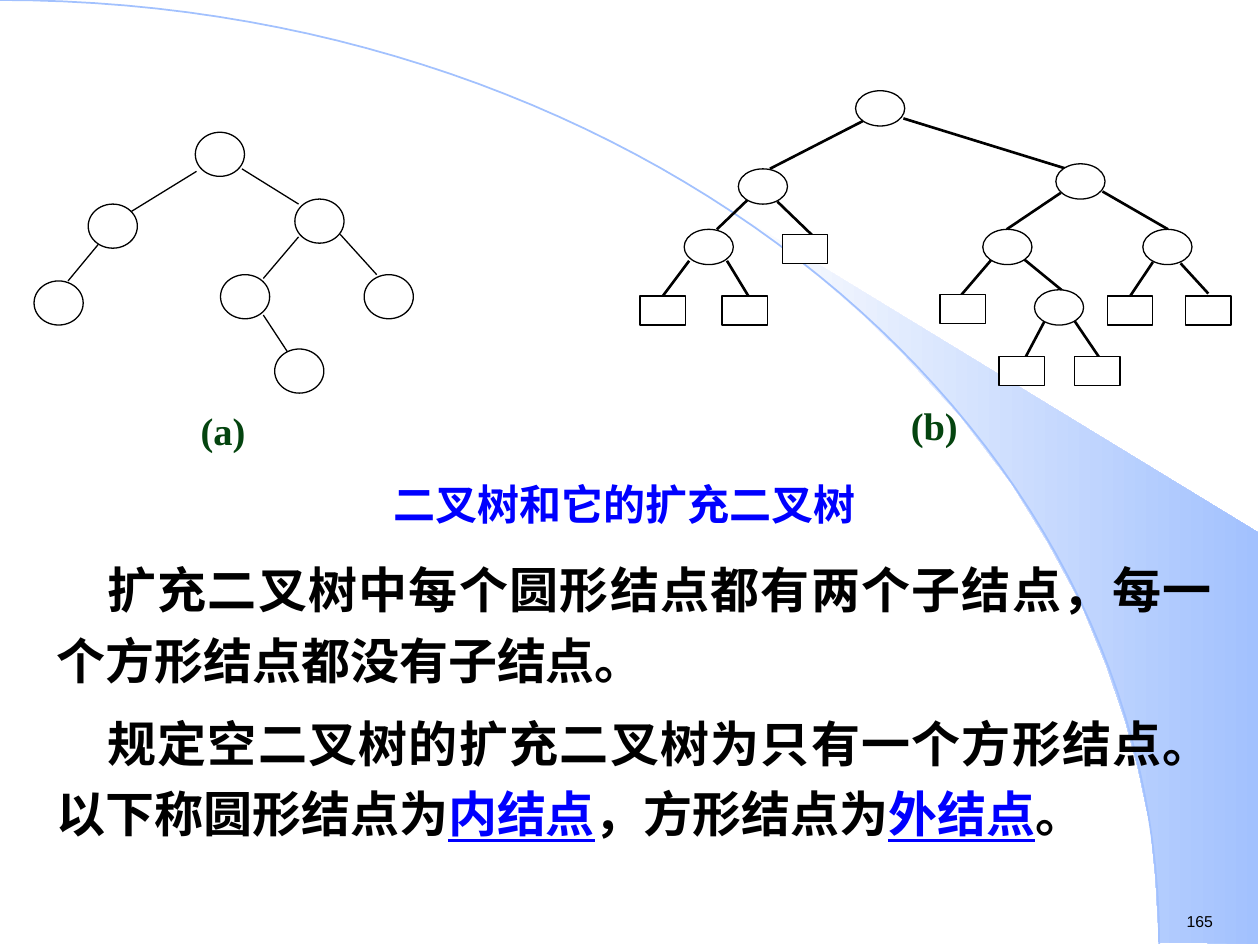
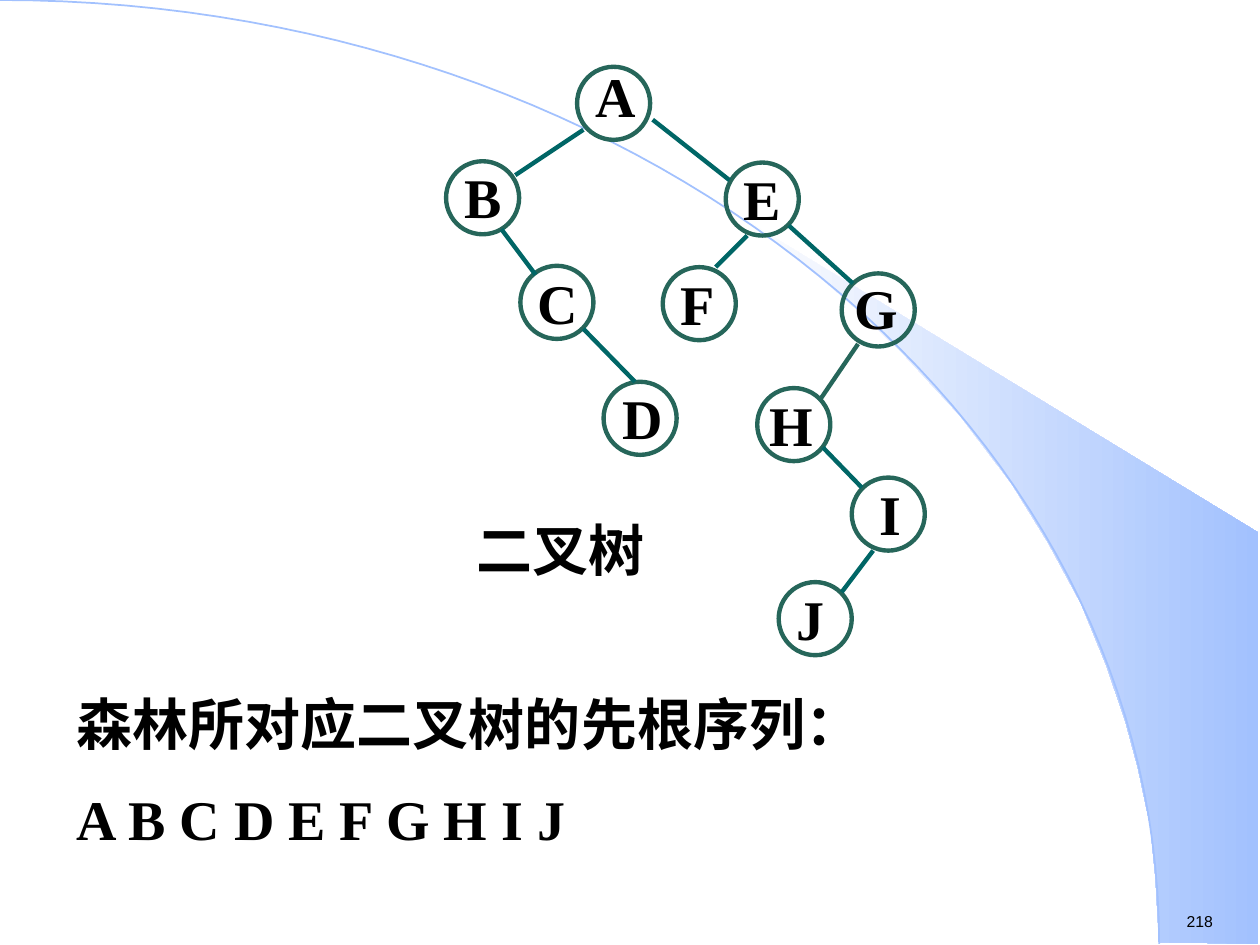
import pptx
import pptx.util
import pptx.dml.color
import pptx.enum.shapes
import pptx.enum.text
import pptx.oxml.ns
import lxml.etree

Inches, Pt = pptx.util.Inches, pptx.util.Pt
SHAPE = pptx.enum.shapes.MSO_SHAPE
ALIGN = pptx.enum.text.PP_ALIGN
ANCHOR = pptx.enum.text.MSO_ANCHOR
qn = pptx.oxml.ns.qn

BLACK, WHITE, BLUE, SKY, PALE = "000000", "FFFFFF", "0000FF", "A2C1FE", "FEFEFE"
LABEL_GREEN, NODE_GREEN, EDGE_GREEN = "04440F", "26665A", "006666"
SERIF = "Times New Roman"
INSET = (0.1, 0.05)

# Backdrop: the swoosh outline and the arc's Bezier control points
SWOOSH = [(9.2, 7.48), (9.99, 7.49), (9.99, 4.23), (5.89, 1.73), (6.24, 1.99),
          (6.53, 2.22), (6.85, 2.5), (7.16, 2.8), (7.62, 3.3), (8.03, 3.84),
          (8.32, 4.31), (8.58, 4.79), (8.78, 5.28), (8.93, 5.72), (9.03, 6.09),
          (9.13, 6.56), (9.17, 6.96)]
ARC = [(0, 0), (5.08, 0), (9.2, 3.35), (9.2, 7.49)]
ARC_STEPS = 60

# Trees on the first slide: node corners and edges, relative to the tree's box
PLAIN_TREE = dict(
    ovals=[(1.28, 0), (0.43, 0.57), (0, 1.18), (2.07, 0.53), (1.48, 1.13),
           (2.62, 1.13), (1.91, 1.72)],
    oval_size=(0.39, 0.35), squares=[], edge_width=0.75,
    edges=[(1.29, 0.31, 0.77, 0.63), (0.51, 0.89, 0.27, 1.18),
           (1.65, 0.29, 2.1, 0.57), (2.1, 0.83, 1.82, 1.16),
           (2.43, 0.81, 2.72, 1.13), (1.82, 1.45, 2.01, 1.74)],
    label="(a)", label_box=(1.11, 2.21, 0.78, 0.33), label_spacing=24)
EXTENDED_TREE = dict(
    ovals=[(1.71, 0), (0.78, 0.62), (0.35, 1.1), (3.3, 0.58), (2.72, 1.1),
           (3.99, 1.1), (3.13, 1.58)],
    oval_size=(0.39, 0.28), edge_width=1.5,
    squares=[(0, 1.63), (0.65, 1.63), (2.85, 2.11), (3.45, 2.11), (2.38, 1.62),
             (4.33, 1.63), (3.71, 1.63), (1.13, 1.14)],
    edges=[(2.09, 0.22, 3.45, 0.64), (3.21, 1.83, 3.03, 2.17),
           (3.05, 1.34, 3.38, 1.61), (1.09, 0.88, 1.38, 1.16),
           (1.77, 0.24, 1.03, 0.62), (0.85, 0.87, 0.61, 1.1),
           (3.34, 0.81, 2.91, 1.1), (3.67, 0.8, 4.19, 1.1),
           (0.39, 1.35, 0.18, 1.63), (0.69, 1.35, 0.86, 1.63),
           (2.79, 1.34, 2.55, 1.62), (3.45, 1.83, 3.64, 2.11),
           (4.07, 1.36, 3.89, 1.63), (4.29, 1.37, 4.51, 1.61)],
    label="(b)", label_box=(2.05, 2.53, 0.57, 0.31), label_spacing=22)
SQUARE_SIZE = (0.36, 0.23)

# Lettered tree: node corner, letter offset, letter line spacing
LETTERS = {
    "A": (1.04, 0, 0.05, -0.09, 1.0), "B": (0, 0.75, 0.05, -0.09, 1.1),
    "C": (0.59, 1.58, 0.04, -0.08, 1.1), "D": (1.25, 2.5, 0.05, -0.09, 1.1),
    "E": (2.22, 0.76, 0.04, -0.09, 1.1), "F": (1.72, 1.59, 0.04, -0.08, 1.1),
    "G": (3.14, 1.64, 0, -0.05, 1.0), "H": (2.47, 2.55, 0, -0.08, 1.1),
    "I": (3.22, 3.26, 0.12, -0.09, 1.1), "J": (2.64, 4.09, 0.04, -0.08, 1.1)}
LETTER_EDGES = {
    "AB": (1.09, 0.5, 0.55, 0.86), "AE": (1.64, 0.42, 2.25, 0.9),
    "BC": (0.44, 1.29, 0.71, 1.65), "CD": (1.09, 2.08, 1.5, 2.5),
    "EF": (2.39, 1.34, 2.14, 1.59), "EG": (2.72, 1.26, 3.23, 1.72),
    "GH": (3.27, 2.2, 2.97, 2.64), "HI": (2.99, 3.02, 3.3, 3.34),
    "IJ": (3.39, 3.84, 3.14, 4.17)}
LETTER_SIZE = 0.58


# Shared helpers
def rgb(value):
    return pptx.dml.color.RGBColor.from_string(value)


def apply(target, formats):
    for name, value in formats.items():
        setattr(target, name, value)


def set_line(shape, color, width):
    shape.line.color.rgb = rgb(color)
    shape.line.width = Pt(width)


def write_runs(p, runs, size, color=BLACK, **font):
    """Runs are (text, changes to the font) pairs."""
    for text, changes in runs:
        r = p.add_run()
        r.text = text
        formats = dict(dict(name=SERIF, bold=True, color=color), **font, **changes)
        r.font.color.rgb = rgb(formats.pop("color"))
        apply(r.font, dict(formats, size=Pt(size)))


def set_frame(tf, inset, anchor=ANCHOR.TOP):
    x, y = (Inches(v) for v in inset)
    apply(tf, dict(word_wrap=True, auto_size=pptx.enum.text.MSO_AUTO_SIZE.NONE,
                   margin_left=x, margin_right=x, margin_top=y, margin_bottom=y,
                   vertical_anchor=anchor))


def add_text(s, box, text, size, color=BLACK, inset=INSET, anchor=ANCHOR.TOP,
             para=None, **font):
    tf = s.shapes.add_textbox(*map(Inches, box)).text_frame
    set_frame(tf, inset, anchor)
    p = tf.paragraphs[0]
    apply(p, para or {})
    write_runs(p, [(text, {})], size, color, **font)


def add_node(s, kind, x, y, size, color, width, fill=None):
    sp = s.shapes.add_shape(kind, Inches(x), Inches(y), *map(Inches, size))
    sp.shadow.inherit = False
    if fill:
        sp.fill.solid()
        sp.fill.fore_color.rgb = rgb(fill)
    else:
        sp.fill.background()
    set_line(sp, color, width)


def add_edge(s, left, top, edge, color, width):
    x1, y1, x2, y2 = edge
    line = s.shapes.add_connector(
        pptx.enum.shapes.MSO_CONNECTOR.STRAIGHT, Inches(left + x1),
        Inches(top + y1), Inches(left + x2), Inches(top + y2))
    set_line(line, color, width)
    lxml.etree.SubElement(line._element.spPr, qn("a:effectLst"))


def add_outline(s, points, close):
    start, *rest = [(Inches(x), Inches(y)) for x, y in points]
    builder = s.shapes.build_freeform(*start)
    builder.add_line_segments(rest, close=close)
    sp = builder.convert_to_shape()
    sp.shadow.inherit = False
    return sp


def bezier(t):
    weights = ((1 - t) ** 3, 3 * t * (1 - t) ** 2, 3 * t * t * (1 - t), t ** 3)
    return tuple(sum(w * pt[i] for w, pt in zip(weights, ARC)) for i in (0, 1))


# Slide frame: backdrop and page number
def add_slide(prs, number):
    s = prs.slides.add_slide(prs.slide_layouts[1])
    title = s.shapes.title._element
    title.getparent().remove(title)

    swoosh = add_outline(s, SWOOSH, True)
    swoosh.line.fill.background()
    swoosh.fill.gradient()
    swoosh.fill.gradient_angle = 0
    for stop, color in zip(swoosh.fill.gradient_stops, (PALE, SKY)):
        stop.color.rgb = rgb(color)

    arc = add_outline(s, [bezier(i / ARC_STEPS) for i in range(ARC_STEPS + 1)], False)
    arc.fill.background()
    set_line(arc, SKY, 1)

    add_text(s, (9.32, 7.19, 0.6, 0.25), str(number), 9, name="Arial", bold=False)
    return s


def fill_body(s, box, paragraphs, size, space, indent=0, **para):
    """Place the body placeholder in front of the backdrop and fill it."""
    body = s.placeholders[1]
    s.shapes._spTree.append(body._element)
    apply(body, dict(zip(("left", "top", "width", "height"), map(Inches, box))))
    tf = body.text_frame
    set_frame(tf, INSET)
    for i, runs in enumerate(paragraphs):
        p = tf.add_paragraph() if i else tf.paragraphs[0]
        pPr = p._p.get_or_add_pPr()
        pPr.set("marL", "0")
        pPr.set("indent", str(Inches(indent)))
        lxml.etree.SubElement(pPr, qn("a:buNone"))
        apply(p, dict(para, space_before=Pt(space if i else 0)))
        write_runs(p, runs, size)


# Trees
def draw_tree(s, left, top, tree):
    for edge in tree["edges"]:
        add_edge(s, left, top, edge, BLACK, tree["edge_width"])
    for kind, corners, size in ((SHAPE.OVAL, tree["ovals"], tree["oval_size"]),
                                (SHAPE.RECTANGLE, tree["squares"], SQUARE_SIZE)):
        for x, y in corners:
            add_node(s, kind, left + x, top + y, size, BLACK, 0.75, WHITE)
    x, y, w, h = tree["label_box"]
    add_text(s, (left + x, top + y, w, h), tree["label"], 22, LABEL_GREEN, (0, 0),
             para=dict(alignment=ALIGN.CENTER,
                       line_spacing=Pt(tree["label_spacing"])))


def draw_lettered_tree(s, left, top):
    for letter, (x, y, dx, dy, spacing) in LETTERS.items():
        x, y = left + x, top + y
        add_node(s, SHAPE.OVAL, x, y, (LETTER_SIZE, LETTER_SIZE), NODE_GREEN, 2.5)
        add_text(s, (x + dx, y + dy, LETTER_SIZE, 0.69), letter, 32,
                 para=dict(line_spacing=spacing))
    for pair, edge in LETTER_EDGES.items():
        add_edge(s, left, top, edge, NODE_GREEN if pair == "GH" else EDGE_GREEN, 2.5)
    add_text(s, (left + 0.14, top + 3.51, 1.83, 0.64), "二叉树", 32)


# Slides
def extended_tree_slide(prs):
    s = add_slide(prs, 165)
    term = dict(color=BLUE, underline=True)
    fill_body(s, (0.35, 4.3, 9.37, 2.6), [
        [("扩充二叉树中每个圆形结点都有两个子结点，每一个方形结点都没有子结点。", {})],
        [("规定空二叉树的扩充二叉树为只有一个方形结点。以下称圆形结点为", {}),
         ("内结点", term), ("，方形结点为", {}), ("外结点", term), ("。", {})],
    ], 28, 7, indent=0.4, line_spacing=1.2, alignment=ALIGN.JUSTIFY)
    draw_tree(s, 5.08, 0.72, EXTENDED_TREE)
    draw_tree(s, 0.27, 1.05, PLAIN_TREE)
    add_text(s, (1.46, 3.88, 7, 0.3), "二叉树和它的扩充二叉树", 24, BLUE, (0, 0),
             ANCHOR.MIDDLE, dict(alignment=ALIGN.CENTER, line_spacing=Pt(24)))


def preorder_slide(prs):
    s = add_slide(prs, 218)
    fill_body(s, (0.51, 5.48, 7.28, 1.38),
              [[("森林所对应二叉树的先根序列：", {})], [(" ".join(LETTERS), {})]],
              32, 20, line_spacing=0.9)
    draw_lettered_tree(s, 3.54, 0.53)


def main():
    prs = pptx.Presentation()
    prs.slide_width, prs.slide_height = Inches(10), Inches(7.5)
    extended_tree_slide(prs)
    preorder_slide(prs)
    prs.save("out.pptx")


if __name__ == "__main__":
    main()
